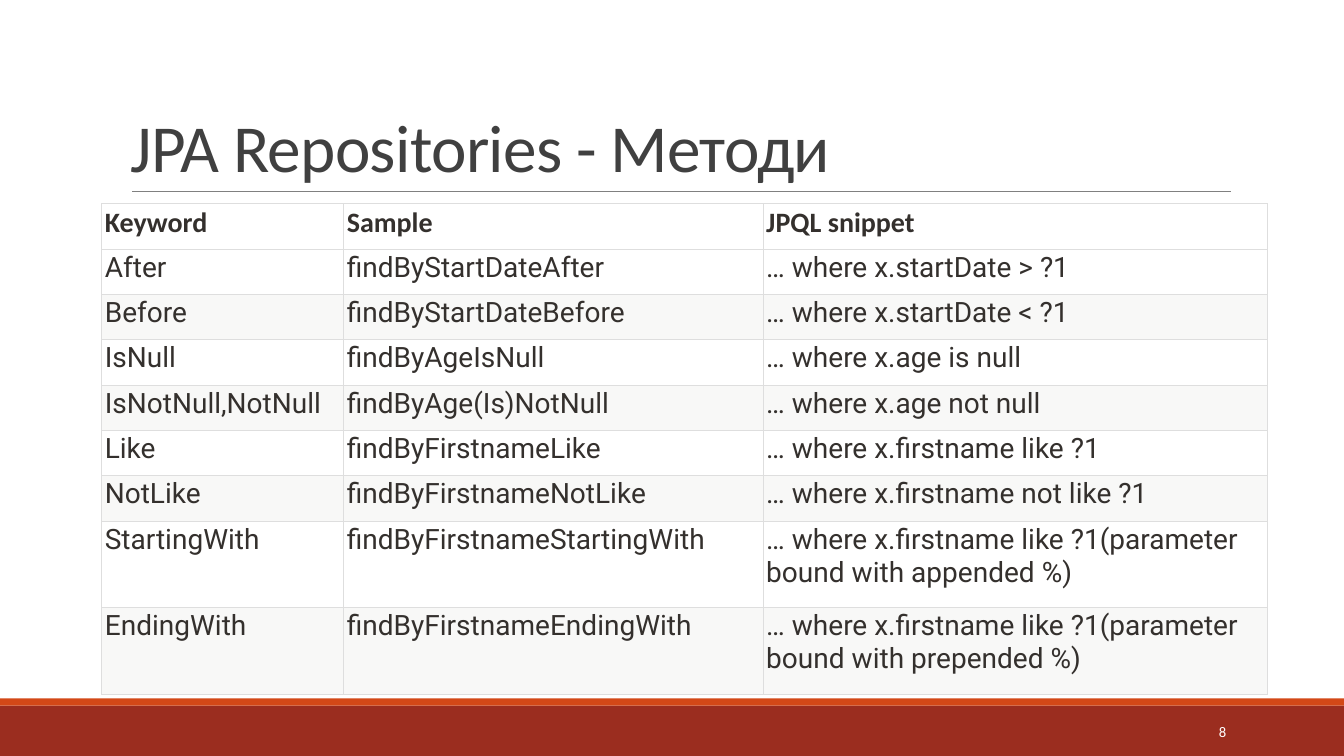
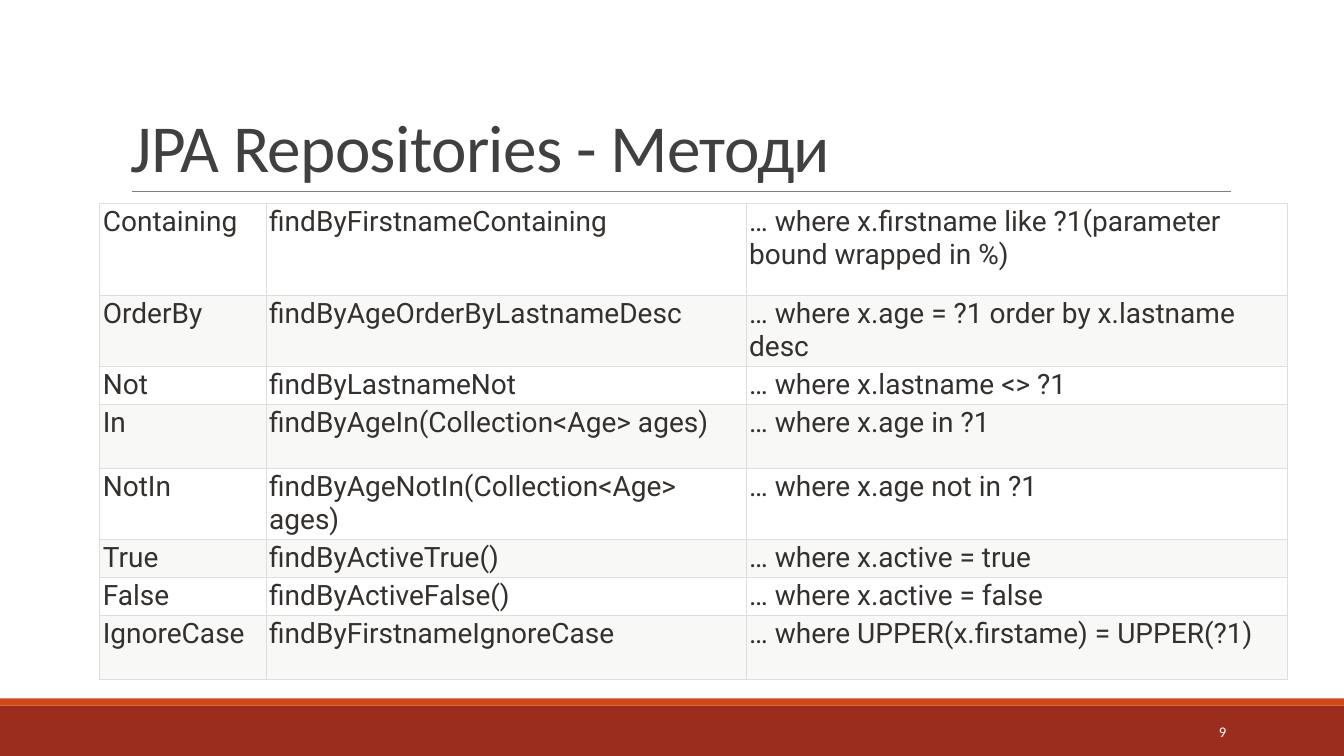
"""Build two slides that list the query keywords of JPA repositories."""
from lxml.etree import SubElement
from pptx import Presentation
from pptx.dml.color import RGBColor
from pptx.enum.shapes import MSO_CONNECTOR, MSO_SHAPE
from pptx.enum.text import MSO_ANCHOR, PP_ALIGN
from pptx.oxml import parse_xml
from pptx.oxml.ns import nsdecls, qn
from pptx.util import Inches, Pt

WHITE = RGBColor(0xFF, 0xFF, 0xFF)
STRIPE = RGBColor(0xF8, 0xF8, 0xF7)
BORDER = RGBColor(0xDE, 0xDE, 0xDE)
CELL_TEXT = RGBColor(0x34, 0x30, 0x2D)
TITLE_TEXT = RGBColor(0x40, 0x40, 0x40)
RULE = RGBColor(0x80, 0x80, 0x80)
DARK_RED = RGBColor(0x9B, 0x2D, 0x1F)
ORANGE = RGBColor(0xD3, 0x48, 0x17)

HEADING_FONT = "Calibri"
BODY_FONT = "Roboto"
SLIDE_WIDTH, SLIDE_HEIGHT = 13.33, 7.5
TABLE_TOP = 2.02
BANDS = [(7, 0.5, DARK_RED), (6.93, 0.07, ORANGE)]
TITLE = "JPA Repositories - Методи"

SLIDES = [
    {
        "number": 8,
        "left": 1.01,
        "columns": [2.4, 4.16, 5],
        "heights": [0.45] * 7 + [0.86] * 2,
        "header": ("Keyword", "Sample", "JPQL snippet"),
        "methods": [
            ("After", "findByStartDateAfter", "… where x.startDate > ?1"),
            ("Before", "findByStartDateBefore", "… where x.startDate < ?1"),
            ("IsNull", "findByAgeIsNull", "… where x.age is null"),
            ("IsNotNull,NotNull", "findByAge(Is)NotNull", "… where x.age not null"),
            ("Like", "findByFirstnameLike", "… where x.firstname like ?1"),
            ("NotLike", "findByFirstnameNotLike", "… where x.firstname not like ?1"),
            ("StartingWith", "findByFirstnameStartingWith",
             "… where x.firstname like ?1(parameter bound with appended %)"),
            ("EndingWith", "findByFirstnameEndingWith",
             "… where x.firstname like ?1(parameter bound with prepended %)"),
        ],
    },
    {
        "number": 9,
        "left": 0.99,
        "columns": [1.65, 4.76, 5.37],
        "heights": [0.91, 0.64, 0.37, 0.64, 0.64, 0.37, 0.37, 0.64],
        "header": None,
        "methods": [
            ("Containing", "findByFirstnameContaining",
             "… where x.firstname like ?1(parameter bound wrapped in %)"),
            ("OrderBy", "findByAgeOrderByLastnameDesc",
             "… where x.age = ?1 order by x.lastname desc"),
            ("Not", "findByLastnameNot", "… where x.lastname <> ?1"),
            ("In", "findByAgeIn(Collection<Age> ages)", "… where x.age in ?1"),
            ("NotIn", "findByAgeNotIn(Collection<Age> ages)", "… where x.age not in ?1"),
            ("True", "findByActiveTrue()", "… where x.active = true"),
            ("False", "findByActiveFalse()", "… where x.active = false"),
            ("IgnoreCase", "findByFirstnameIgnoreCase",
             "… where UPPER(x.firstame) = UPPER(?1)"),
        ],
    },
]


def write_text(text_frame, text, *, size, color, font=HEADING_FONT, bold=False,
               align=PP_ALIGN.LEFT, line_spacing=None, tracking=None):
    text_frame.word_wrap = True
    paragraph = text_frame.paragraphs[0]
    paragraph.alignment = align
    if line_spacing:
        paragraph.line_spacing = line_spacing
    run = paragraph.add_run()
    run.text = text
    run.font.size = Pt(size)
    run.font.name = font
    run.font.bold = bold
    run.font.color.rgb = color
    if tracking:
        run.font._element.set("spc", str(int(tracking * 100)))


def add_text_box(slide, box, text, anchor, **text_format):
    shape = slide.shapes.add_textbox(*map(Inches, box))
    shape.text_frame.vertical_anchor = anchor
    write_text(shape.text_frame, text, **text_format)


def add_frame(slide, number):
    for top, height, color in BANDS:
        band = slide.shapes.add_shape(
            MSO_SHAPE.RECTANGLE, 0, Inches(top), Inches(SLIDE_WIDTH), Inches(height))
        band.shadow.inherit = False
        band.fill.solid()
        band.fill.fore_color.rgb = color
        band.line.fill.background()
    rule = slide.shapes.add_connector(
        MSO_CONNECTOR.STRAIGHT, Inches(1.31), Inches(1.9), Inches(12.21), Inches(1.9))
    rule.line.color.rgb = RULE
    rule.line.width = Pt(0.5)
    SubElement(rule._element.spPr, qn("a:effectLst"))
    add_text_box(slide, (1.2, 0.31, 11, 1.59), TITLE, MSO_ANCHOR.BOTTOM,
                 size=48, color=TITLE_TEXT, line_spacing=0.85, tracking=-0.5)
    add_text_box(slide, (10.83, 7.06, 1.43, 0.4), str(number), MSO_ANCHOR.MIDDLE,
                 size=10.5, color=WHITE, align=PP_ALIGN.RIGHT)


def format_cell(cell, fill):
    cell.margin_left = cell.margin_right = Inches(0.03)
    cell.margin_top = cell.margin_bottom = Inches(0.02)
    cell.fill.solid()
    cell.fill.fore_color.rgb = fill
    properties = cell._tc.get_or_add_tcPr()
    for position, side in enumerate(("lnL", "lnR", "lnT", "lnB")):
        properties.insert(position, parse_xml(
            f'<a:{side} {nsdecls("a")} w="{Pt(0.75)}"><a:solidFill>'
            f'<a:srgbClr val="{BORDER}"/></a:solidFill></a:{side}>'))


def add_method_table(slide, left, columns, heights, header, methods):
    rows = ([header] if header else []) + methods
    first_method = len(rows) - len(methods)
    frame = slide.shapes.add_table(
        len(rows), len(columns), Inches(left), Inches(TABLE_TOP),
        Inches(sum(columns)), Inches(sum(heights)))
    table = frame.table
    table.first_row = bool(header)
    table.horz_banding = False
    for column, width in zip(table.columns, columns):
        column.width = Inches(width)
    for index, (row, height, texts) in enumerate(zip(table.rows, heights, rows)):
        row.height = Inches(height)
        is_header = index < first_method
        striped = not is_header and (index - first_method) % 2 == 1
        for cell, text in zip(row.cells, texts):
            format_cell(cell, STRIPE if striped else WHITE)
            write_text(cell.text_frame, text, size=20, color=CELL_TEXT, bold=is_header,
                       font=HEADING_FONT if is_header else BODY_FONT)


def main():
    presentation = Presentation()
    presentation.slide_width = Inches(SLIDE_WIDTH)
    presentation.slide_height = Inches(SLIDE_HEIGHT)
    for content in SLIDES:
        slide = presentation.slides.add_slide(presentation.slide_layouts[6])
        add_frame(slide, content["number"])
        add_method_table(slide, content["left"], content["columns"], content["heights"],
                         content["header"], content["methods"])
    presentation.save("out.pptx")


if __name__ == "__main__":
    main()
